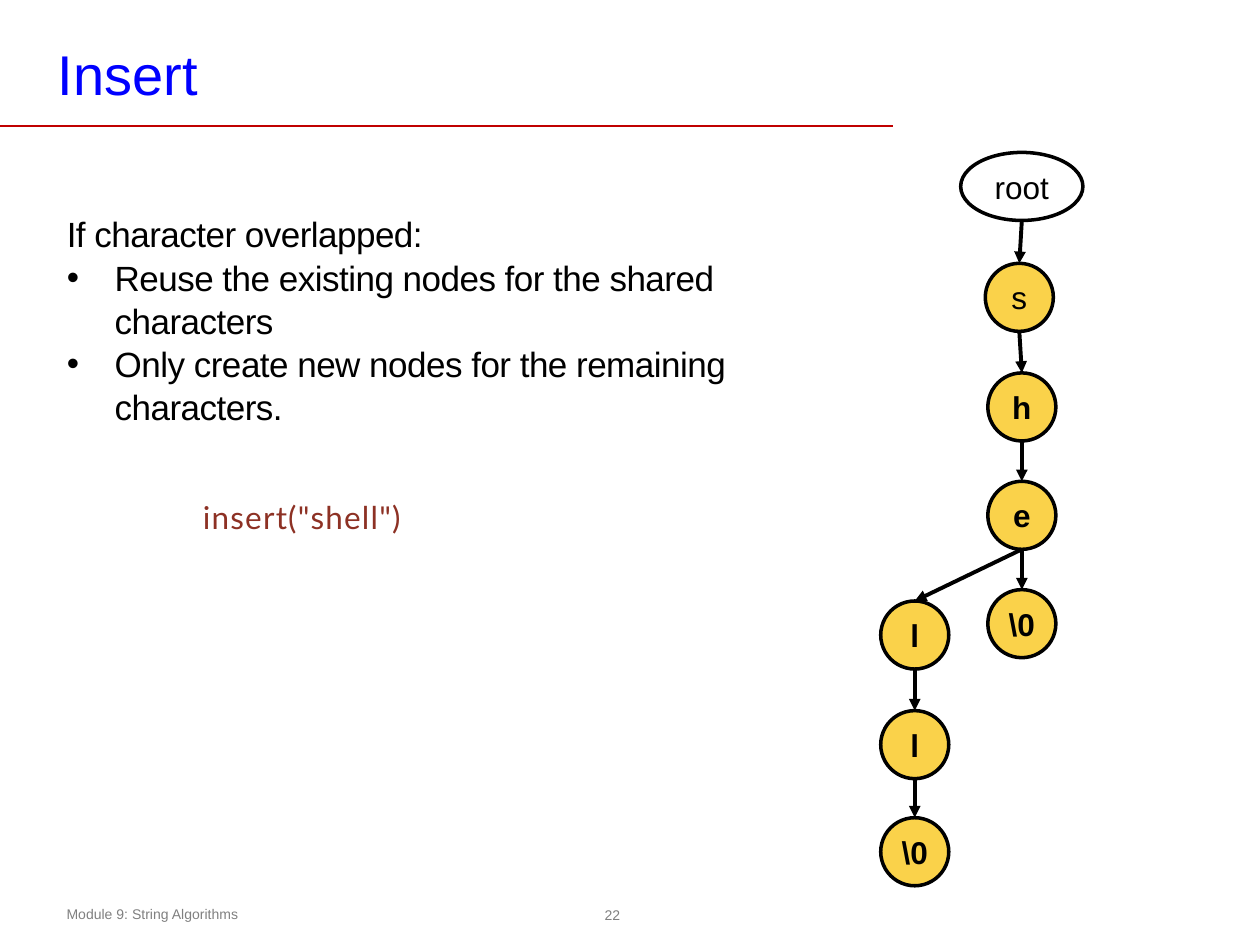
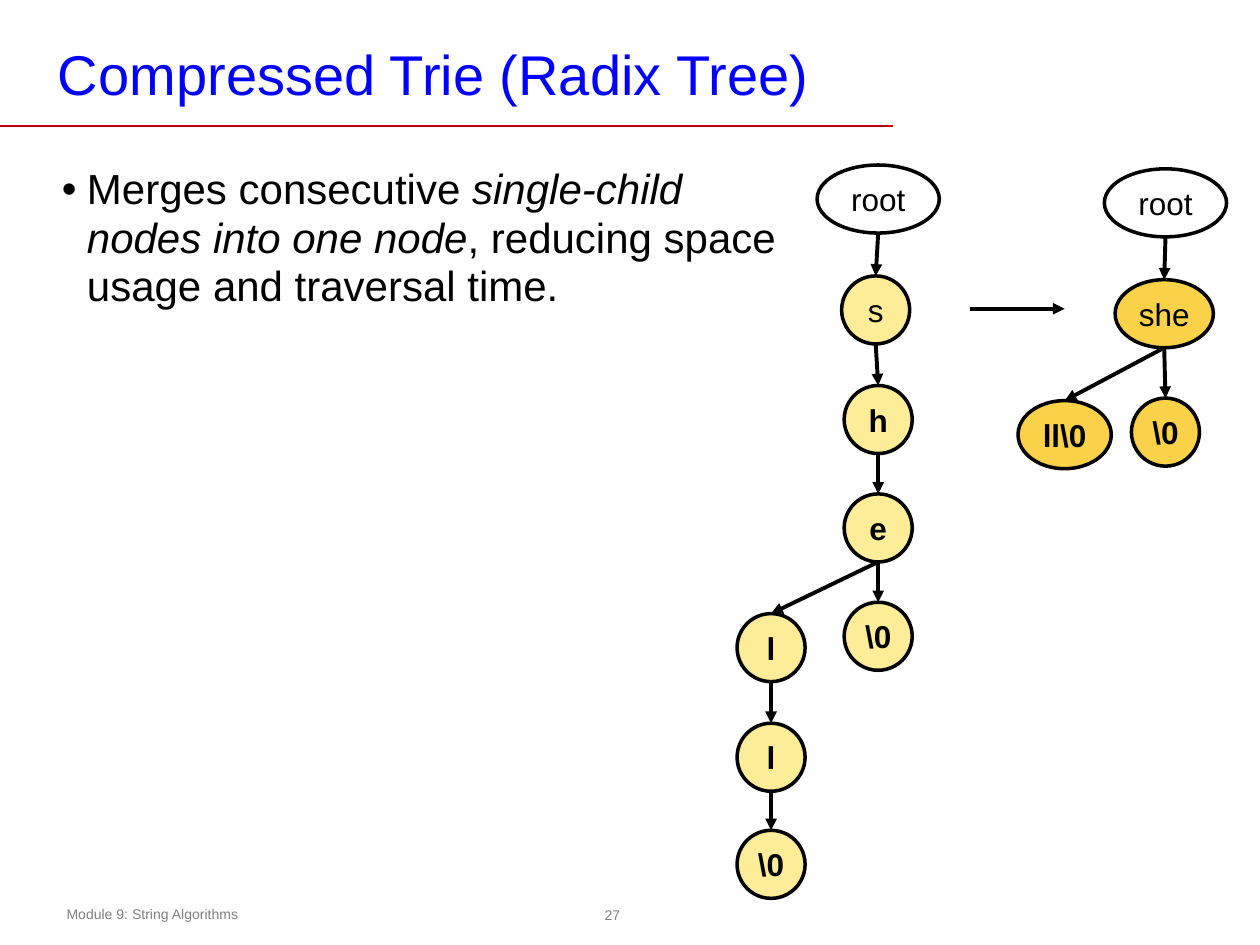
from lxml import etree
from pptx import Presentation
from pptx.dml.color import RGBColor
from pptx.enum.shapes import MSO_CONNECTOR, MSO_SHAPE
from pptx.enum.text import MSO_ANCHOR, MSO_AUTO_SIZE, PP_ALIGN
from pptx.oxml.ns import qn
from pptx.util import Inches, Pt

STRAIGHT = MSO_CONNECTOR.STRAIGHT
OVAL = MSO_SHAPE.OVAL
TOP, MIDDLE, BOTTOM = MSO_ANCHOR.TOP, MSO_ANCHOR.MIDDLE, MSO_ANCHOR.BOTTOM
LEFT, CENTER = PP_ALIGN.LEFT, PP_ALIGN.CENTER
NO_AUTOFIT = MSO_AUTO_SIZE.NONE

COLORS = {
    "title": "0000FF",
    "rule": "C00000",
    "footer": "808080",
    "text": "000000",
    "code": "8D3124",
    "root": "FFFFFF",
    "node": "FAD24A",
    "faded_node": "FDEC98",
}
FONT = "Arial"
CODE_FONT = "Lato"
FOOTER = "Module 9: String Algorithms"
NODE_SIZE = 0.54
ROOT_WIDTH = 0.97
OVAL_TOP_SITE, OVAL_BOTTOM_SITE = 0, 4

# Each node: label, centre x, top, width, index of parent, bold
TRIE = [
    ("root", 1.12, 0, ROOT_WIDTH, None, False),
    ("s", 1.1, 0.88, NODE_SIZE, 0, False),
    ("h", 1.12, 1.75, NODE_SIZE, 1, True),
    ("e", 1.12, 2.61, NODE_SIZE, 2, True),
    ("\\0", 1.12, 3.47, NODE_SIZE, 3, True),
    ("l", 0.27, 3.56, NODE_SIZE, 3, True),
    ("l", 0.27, 4.43, NODE_SIZE, 5, True),
    ("\\0", 0.27, 5.28, NODE_SIZE, 6, True),
]
RADIX_TREE = [
    ("root", 1.17, 0, ROOT_WIDTH, None, False),
    ("she", 1.16, 0.88, 0.78, 0, False),
    ("\\0", 1.17, 1.82, NODE_SIZE, 1, True),
    ("ll\\0", 0.37, 1.84, 0.74, 1, True),
]


def color(name):
    return RGBColor.from_string(COLORS[name])


def set_font(paragraph, size, color_name, name=FONT):
    font = paragraph.font
    font.name, font.size = name, Pt(size)
    font.color.rgb = color(color_name)


def set_frame(shape, margins=(0.1, 0.05), anchor=TOP, wrap=True):
    """Set horizontal and vertical margins, anchor and wrapping."""
    frame = shape.text_frame
    frame.margin_left = frame.margin_right = Inches(margins[0])
    frame.margin_top = frame.margin_bottom = Inches(margins[1])
    frame.vertical_anchor = anchor
    frame.word_wrap = wrap
    frame.auto_size = NO_AUTOFIT
    return frame


def set_box(shape, box):
    shape.left, shape.top, shape.width, shape.height = map(Inches, box)


def set_indent(paragraph, left, hanging=0):
    """Indent a paragraph; a hanging indent carries a bullet."""
    properties = paragraph._p.get_or_add_pPr()
    properties.set("marL", str(Inches(left)))
    properties.set("indent", str(-Inches(hanging)))
    if hanging:
        bullet_font = etree.SubElement(properties, qn("a:buFont"))
        bullet_font.set("typeface", FONT)
        etree.SubElement(properties, qn("a:buChar")).set("char", "•")
    else:
        etree.SubElement(properties, qn("a:buNone"))


def set_letter_spacing(paragraph, points):
    for run in paragraph.runs:
        run._r.get_or_add_rPr().set("spc", str(round(points * 100)))


def add_text(slide, box, text, size, color_name, font=FONT, align=LEFT, **frame_options):
    shape = slide.shapes.add_textbox(*map(Inches, box))
    paragraph = set_frame(shape, **frame_options).paragraphs[0]
    paragraph.text = text
    paragraph.alignment = align
    set_font(paragraph, size, color_name, font)
    return paragraph


def add_line(slide, start, end, color_name, width, arrow=False):
    line = slide.shapes.add_connector(STRAIGHT, *map(Inches, start + end))
    line.line.color.rgb = color(color_name)
    line.line.width = Pt(width)
    if arrow:
        outline = line.line._get_or_add_ln()
        etree.SubElement(outline, qn("a:tailEnd")).set("type", "triangle")
    etree.SubElement(line._element.spPr, qn("a:effectLst"))
    return line


def add_arrow(slide, start=(0, 0), end=(0, 0)):
    return add_line(slide, start, end, "text", 2.25, arrow=True)


def add_base_slide(presentation, title, number):
    """Add a slide with its title, rule and footer."""
    slide = presentation.slides.add_slide(presentation.slide_layouts[1])
    add_text(slide, (4.74, 7.13, 0.24, 0.26), str(number), 8, "footer",
             align=CENTER, margins=(0.04, 0.04), anchor=MIDDLE, wrap=False)
    add_text(slide, (0.43, 7.14, 4.17, 0.24), FOOTER, 8, "footer")
    add_line(slide, (0, 1), (7.09, 1), "rule", 1)
    set_box(slide.shapes.title, (0.39, 0.28, 7.42, 0.6))
    frame = set_frame(slide.shapes.title, (0.07, 0.03), BOTTOM)
    frame.text = title
    frame.paragraphs[0].alignment = LEFT
    set_font(frame.paragraphs[0], 32, "title")
    return slide


def add_node(slide, box, label, fill, bold):
    node = slide.shapes.add_shape(OVAL, *map(Inches, box))
    node.shadow.inherit = False
    node.fill.solid()
    node.fill.fore_color.rgb = color(fill)
    node.line.color.rgb = color("text")
    node.line.width = Pt(2)
    paragraph = set_frame(node, (0.04, 0.04), MIDDLE, wrap=False).paragraphs[0]
    paragraph.text = label
    paragraph.alignment = CENTER
    set_font(paragraph, 18, "text")
    paragraph.font.bold = bold
    return node


def join_nodes(slide, parent, child):
    arrow = add_arrow(slide)
    arrow.begin_connect(parent, 2)
    # An oval has eight connection sites, so its bottom is not number 2
    arrow._element.nvCxnSpPr.cNvCxnSpPr.stCxn.set("idx", str(OVAL_BOTTOM_SITE))
    arrow.end_connect(child, OVAL_TOP_SITE)


def add_tree(slide, left, top, tree, fill):
    nodes = []
    for label, center, offset, width, parent, bold in tree:
        box = (left + center - width / 2, top + offset, width, NODE_SIZE)
        node_fill = "root" if parent is None else fill
        nodes.append(add_node(slide, box, label, node_fill, bold))
        if parent is not None:
            join_nodes(slide, nodes[parent], nodes[-1])


def build_insert_slide(presentation):
    slide = add_base_slide(presentation, "Insert", 22)
    body = slide.placeholders[1]
    set_box(body, (0.52, 1.68, 6.28, 1.71))
    frame = set_frame(body, (0, 0))
    frame.text = "\n".join([
        "If character overlapped:",
        "Reuse the existing nodes for the shared characters",
        "Only create new nodes for the remaining characters.",
    ])
    for index, paragraph in enumerate(frame.paragraphs):
        paragraph.line_spacing = 1.03
        paragraph.space_before = Pt(0)
        set_indent(paragraph, *((0.39, 0.38) if index else (0.01,)))
        set_font(paragraph, 20, "text")
        set_letter_spacing(paragraph, -0.3)
    call = add_text(slide, (1.61, 3.94, 1.89, 0.32), 'insert("shell")', 18, "code",
                    font=CODE_FONT, margins=(0, 0.01))
    set_letter_spacing(call, 0.7)
    add_tree(slide, 6.99, 1.21, TRIE, "node")


def build_radix_tree_slide(presentation):
    slide = add_base_slide(presentation, "Compressed Trie (Radix Tree)", 27)
    body = slide.placeholders[1]
    set_box(body, (0.39, 1.26, 6.02, 5.48))
    paragraph = set_frame(body).paragraphs[0]
    for text, italic in (
        ("Merges consecutive ", False),
        ("single-child nodes into one node", True),
        (", reducing space usage and traversal time.", False),
    ):
        run = paragraph.add_run()
        run.text = text
        run.font.italic = italic
    paragraph.line_spacing = 0.97
    paragraph.space_before = Pt(0)
    set_indent(paragraph, 0.2, 0.2)
    set_font(paragraph, 24, "text")
    add_tree(slide, 5.85, 1.31, TRIE, "faded_node")
    add_arrow(slide, (7.7, 2.45), (8.45, 2.45))
    add_tree(slide, 8.08, 1.34, RADIX_TREE, "node")


def main():
    presentation = Presentation()
    presentation.slide_width, presentation.slide_height = Inches(10), Inches(7.5)
    build_insert_slide(presentation)
    build_radix_tree_slide(presentation)
    presentation.save("out.pptx")


if __name__ == "__main__":
    main()
